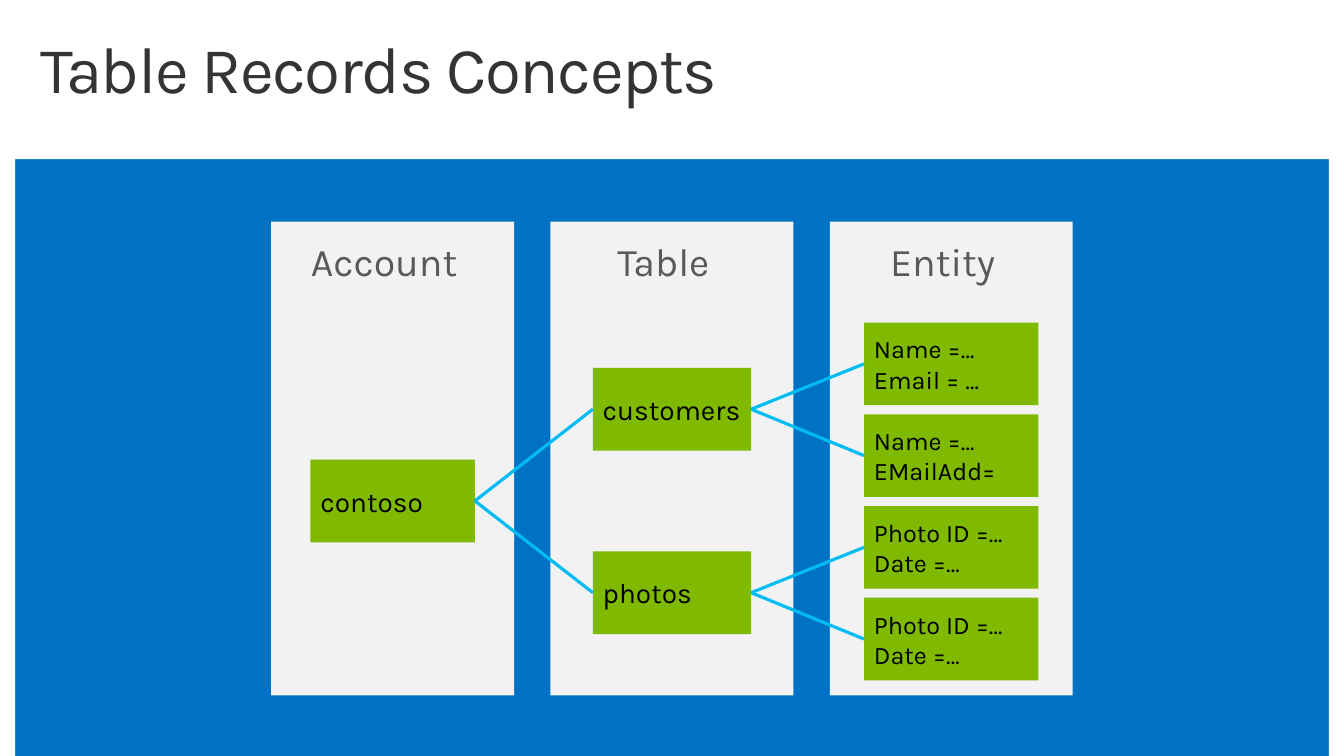
from dataclasses import dataclass

from lxml.etree import SubElement
from pptx import Presentation
from pptx.dml.color import RGBColor
from pptx.enum.shapes import MSO_CONNECTOR, MSO_SHAPE
from pptx.enum.text import MSO_ANCHOR, MSO_AUTO_SIZE, PP_ALIGN
from pptx.oxml.ns import qn
from pptx.util import Emu, Pt


@dataclass(frozen=True)
class Theme:
    font: str = "Karla"
    blue: str = "0072C6"
    white: str = "FFFFFF"
    panel: str = "F2F2F2"
    green: str = "7FBA00"
    cyan: str = "00BCF2"
    title: str = "343434"
    heading: str = "595959"
    label: str = "000000"
    title_size: float = 46.8
    heading_size: int = 28
    label_size: int = 20
    entity_size: int = 18
    line_width: float = 2.25


T = Theme()
SLIDE_W, SLIDE_H = 1333, 750
BOX_H = 82

# Each table of the account, with the property lines of its entities
ACCOUNT = "contoso"
TABLES = {
    "customers": ["Name =…\nEmail = …", "Name =…\nEMailAdd="],
    "photos": ["Photo ID =…\nDate =…", "Photo ID =…\nDate =…"],
}


def px(n):
    """100 px to the inch."""
    return Emu(n * 9144)


def rgb(value):
    return RGBColor.from_string(value)


def style(p, size, color):
    p.font.name, p.font.size = T.font, Pt(size)
    p.font.color.rgb = rgb(color)


def add_rect(s, x, y, w, h, fill):
    sp = s.shapes.add_shape(MSO_SHAPE.RECTANGLE, px(x), px(y), px(w), px(h))
    sp.shadow.inherit = False
    sp.fill.solid()
    sp.fill.fore_color.rgb = rgb(fill)
    sp.line.fill.background()
    return sp


def add_frame(s, w, h):
    """White side margins and title band over the blue background."""
    s.background.fill.solid()
    s.background.fill.fore_color.rgb = rgb(T.blue)
    for box in ((0, 0, 15, h), (w - 15, 0, 15, h), (0, 0, w, 158)):
        add_rect(s, *box, T.white)


def add_title(s, text, x, y, w, h):
    title = s.shapes.title
    title.left, title.top, title.width, title.height = map(px, (x, y, w, h))
    tf = title.text_frame
    tf.text = text
    tf.auto_size, tf.vertical_anchor = MSO_AUTO_SIZE.NONE, MSO_ANCHOR.TOP
    p = tf.paragraphs[0]
    p.alignment, p.line_spacing = PP_ALIGN.LEFT, 0.9
    style(p, T.title_size, T.title)
    p.runs[0].font._element.set("spc", "-100")
    title.element.getparent().append(title.element)  # above the band


def add_panel(s, heading, x, y, w, h):
    add_rect(s, x, y, w, h, T.panel)
    tf = s.shapes.add_textbox(px(x), px(y), px(w), px(157)).text_frame
    tf.word_wrap = True
    tf.margin_left = px(10)
    tf.margin_top = tf.margin_right = tf.margin_bottom = px(27)
    p = tf.paragraphs[0]
    p.text, p.alignment, p.line_spacing = heading, PP_ALIGN.CENTER, 0.9
    style(p, T.heading_size, T.heading)


def add_box(s, text, x, y, w, size):
    sp = add_rect(s, x, y, w, BOX_H, T.green)
    tf = sp.text_frame
    tf.text = text
    tf.vertical_anchor = MSO_ANCHOR.MIDDLE
    for p in tf.paragraphs:
        p.alignment = PP_ALIGN.LEFT
        style(p, size, T.label)
    return sp


def link(s, parent, child):
    """Line from the parent's right side to the child's left side."""
    c = s.shapes.add_connector(MSO_CONNECTOR.STRAIGHT, 0, 0, 0, 0)
    c.begin_connect(parent, 3)
    c.end_connect(child, 1)
    c.line.color.rgb, c.line.width = rgb(T.cyan), Pt(T.line_width)
    SubElement(c._element.spPr, qn("a:effectLst"))


def add_hierarchy(s, x, y, w, h):
    """Three panels; every parent box is centred on its children."""
    panel_w, box_widths = 241, (163, 157, 173)
    pitch = (w - panel_w) // 2
    panel_x = [x + i * pitch for i in range(3)]
    for heading, left in zip(("Account", "Table", "Entity"), panel_x):
        add_panel(s, heading, left, y, panel_w, h)
    box_x = [left + (panel_w - bw) // 2 for left, bw in zip(panel_x, box_widths)]

    entity_y, table_tops, tables = y + 100, [], []
    for name, entities in TABLES.items():
        tops = [entity_y + 91 * i for i in range(len(entities))]
        entity_y = tops[-1] + 91
        table_tops.append((tops[0] + tops[-1]) // 2)
        table = add_box(s, name, box_x[1], table_tops[-1], box_widths[1], T.label_size)
        tables.append(table)
        for text, top in zip(entities, tops):
            link(s, table, add_box(s, text, box_x[2], top, box_widths[2], T.entity_size))

    account_y = (table_tops[0] + table_tops[-1]) // 2
    account = add_box(s, ACCOUNT, box_x[0], account_y, box_widths[0], T.label_size)
    for table in tables:
        link(s, account, table)


def main():
    prs = Presentation()
    prs.slide_width, prs.slide_height = px(SLIDE_W), px(SLIDE_H)
    s = prs.slides.add_slide(prs.slide_layouts[5])
    add_frame(s, SLIDE_W, SLIDE_H)
    add_title(s, "Table Records Concepts", 30, 32, 1080, 101)
    add_hierarchy(s, 269, 220, 796, 470)
    prs.save("out.pptx")


if __name__ == "__main__":
    main()
